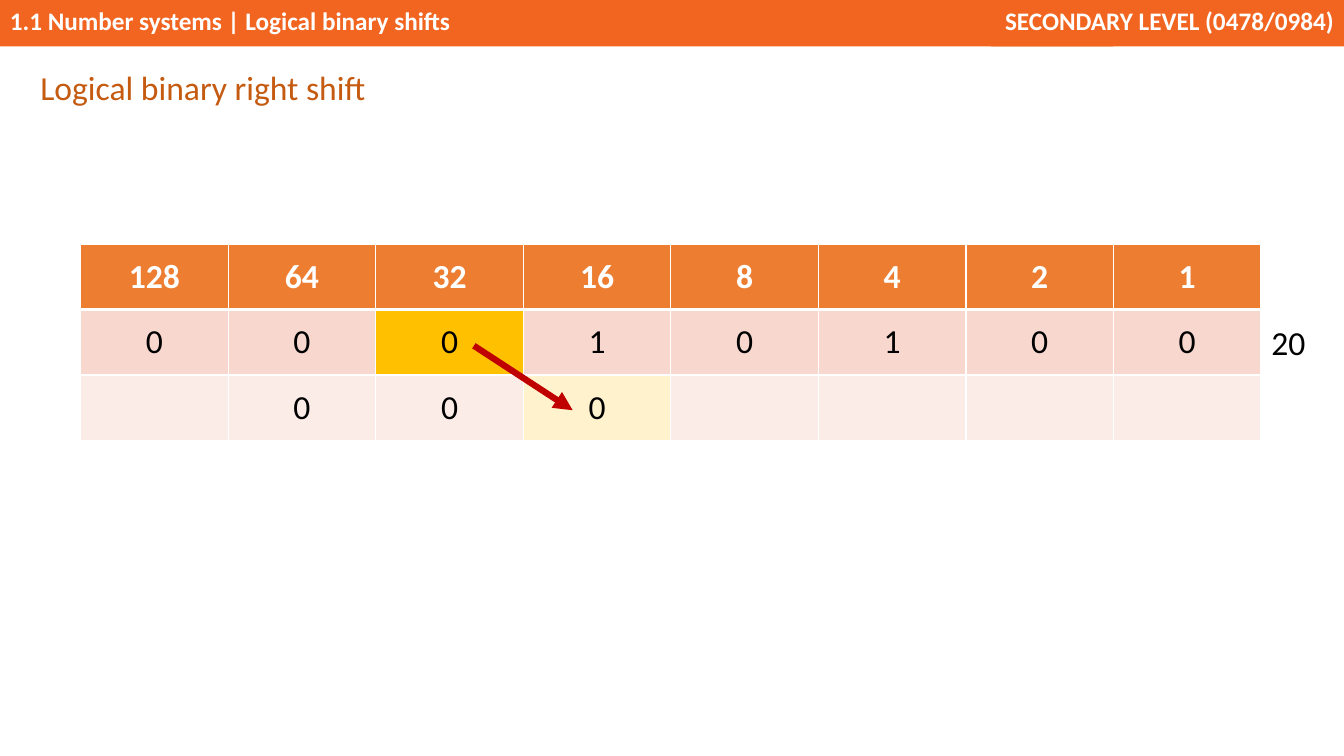
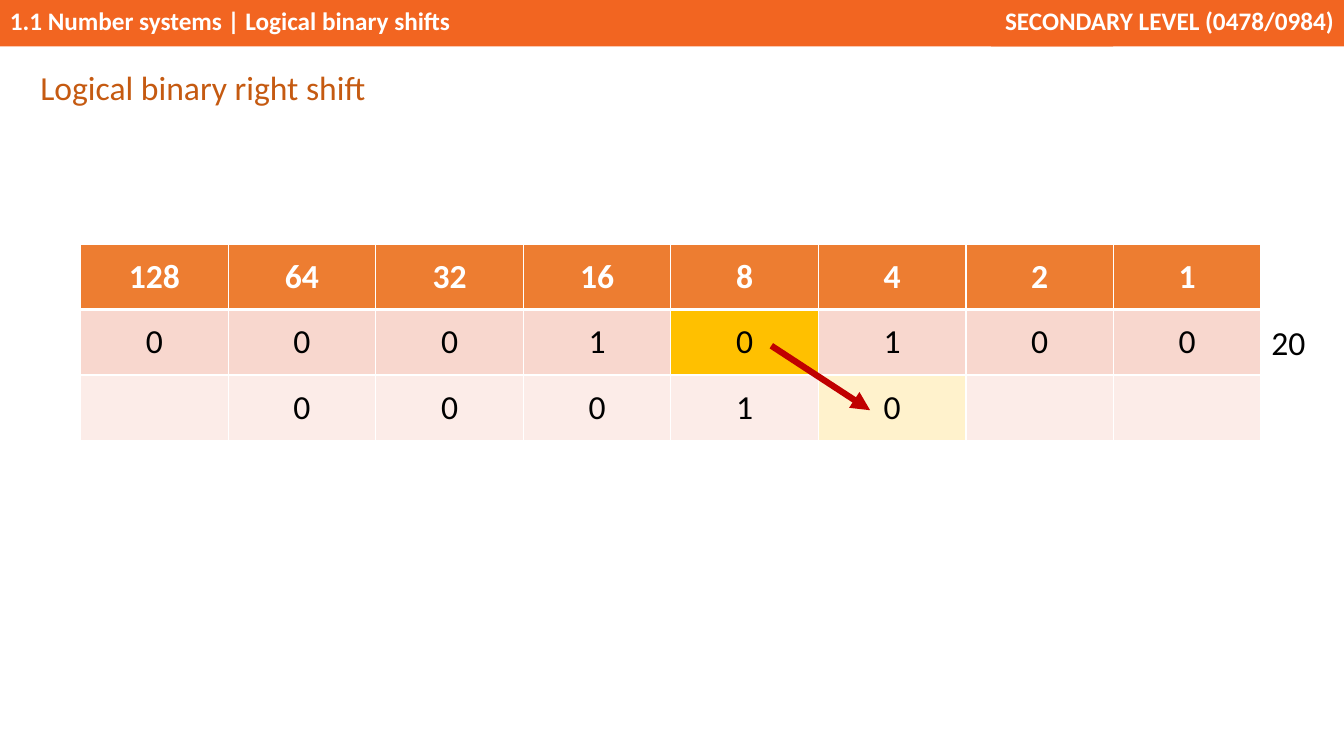
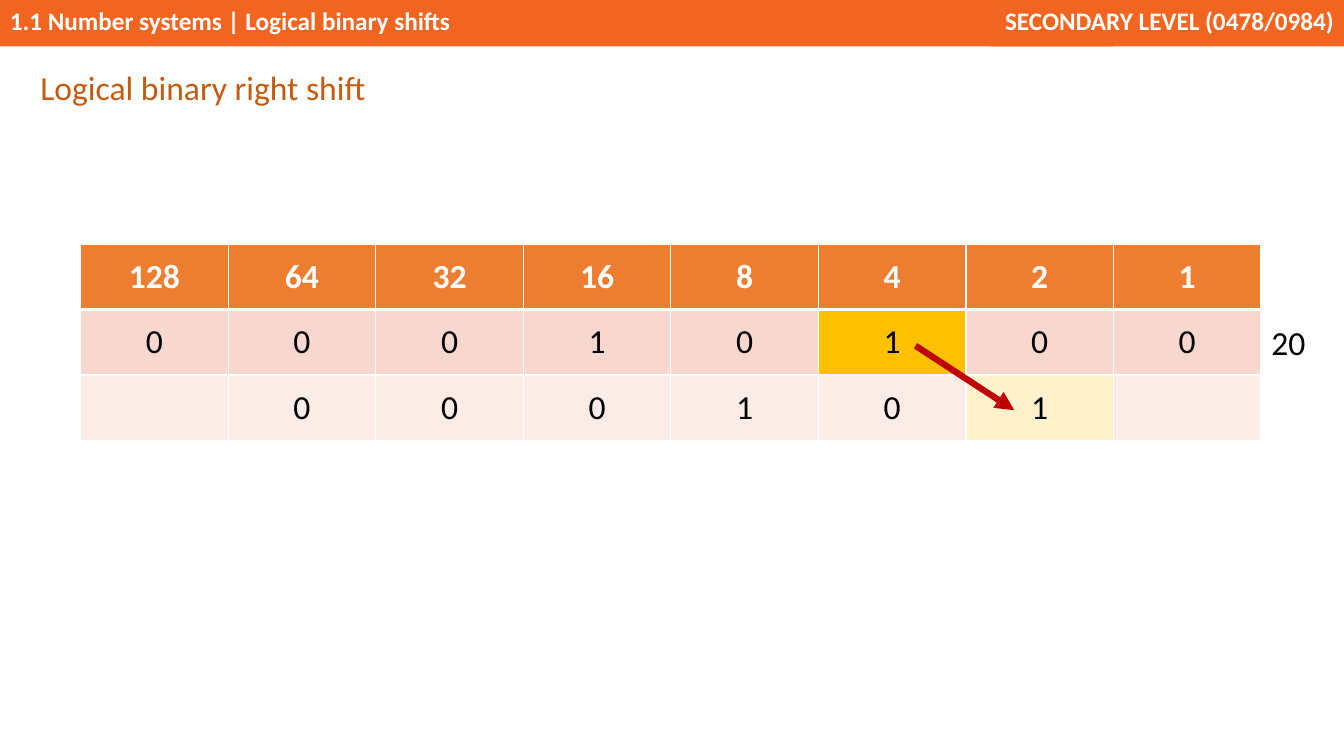
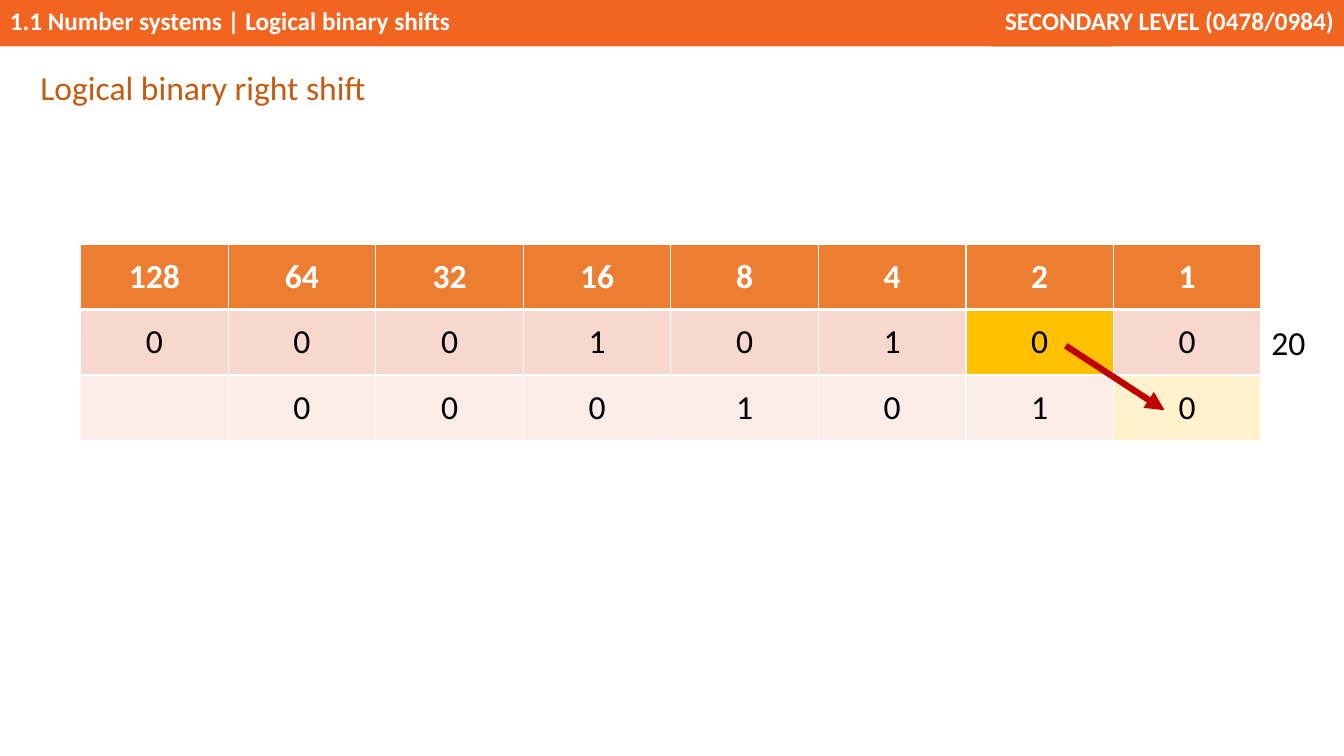
import pptx
import pptx.dml.color
import pptx.enum.shapes
import pptx.enum.text
import pptx.oxml.ns
import pptx.util
from lxml import etree

PX = 9144  # EMU in one px, 100 px to the inch
FONT = "Calibri"
COLORS = {
    "band": "F26521", "title": "C55A11", "white": "FFFFFF", "black": "000000",
    "header": "ED7D31", "before": "F8D7CE", "after": "FCECE8",
    "source": "FFC000", "target": "FFF2CC", "arrow": "C00000",
}
ALIGN = pptx.enum.text.PP_ALIGN
ANCHOR = pptx.enum.text.MSO_ANCHOR

TITLE = "Logical binary right shift"
BANDS = [
    ("1.1 Number systems | Logical binary shifts", 0, 1104, ALIGN.LEFT),
    ("SECONDARY LEVEL (0478/0984)", 983, 350, ALIGN.RIGHT),
]
BAND_HEIGHT = 46
BITS = [0, 0, 0, 1, 0, 1, 0, 0]
PLACE_VALUES = [2 ** power for power in reversed(range(len(BITS)))]
DECIMAL = sum(value * bit for value, bit in zip(PLACE_VALUES, BITS))

# Column of the bit being moved, and where its arrow starts
STEPS = [(2, 470), (4, 765), (5, 908), (6, 1057)]
ARROW_TOP, ARROW_WIDTH, ARROW_HEIGHT = 343, 98, 64
GRID_LEFT, GRID_TOP, GRID_WIDTH, ROW_HEIGHT = 80, 242, 1171, 65


def rgb(color):
    return pptx.dml.color.RGBColor.from_string(COLORS[color])


def box(*lengths):
    return [length * PX for length in lengths]


def write(paragraph, text, color, size=24, bold=False, align=ALIGN.CENTER):
    paragraph.alignment = align
    run = paragraph.add_run()
    run.text = str(text)
    run.font.name = FONT
    run.font.size = pptx.util.Pt(size)
    run.font.bold = bold
    run.font.color.rgb = rgb(color)


def add_bands(slide):
    for text, left, width, align in BANDS:
        band = slide.shapes.add_shape(
            pptx.enum.shapes.MSO_SHAPE.RECTANGLE, *box(left, 0, width, BAND_HEIGHT))
        band.shadow.inherit = False
        band.fill.solid()
        band.fill.fore_color.rgb = rgb("band")
        band.line.fill.background()
        band.text_frame.vertical_anchor = ANCHOR.TOP
        write(band.text_frame.paragraphs[0], text, "white", 18, True, align)


def add_title(slide):
    title = slide.shapes.title
    title.left, title.top, title.width, title.height = box(30, 59, 742, 51)
    frame = title.text_frame
    frame.auto_size = pptx.enum.text.MSO_AUTO_SIZE.NONE
    frame.vertical_anchor = ANCHOR.TOP
    paragraph = frame.paragraphs[0]
    paragraph.line_spacing = 1.07
    paragraph.space_after = pptx.util.Pt(8)
    write(paragraph, TITLE, "title", align=ALIGN.LEFT)


def add_border(cell, side, points):
    line = etree.SubElement(cell._tc.get_or_add_tcPr(),
                            pptx.oxml.ns.qn(f"a:ln{side}"), w=str(pptx.util.Pt(points)))
    fill = etree.SubElement(line, pptx.oxml.ns.qn("a:solidFill"))
    etree.SubElement(fill, pptx.oxml.ns.qn("a:srgbClr"), val=COLORS["white"])


def format_cell(cell, text, fill, is_header, below_header):
    for side in "LRTB":
        heavy = (is_header and side == "B") or (below_header and side == "T")
        add_border(cell, side, 3 if heavy else 1)
    cell.fill.solid()
    cell.fill.fore_color.rgb = rgb(fill)
    cell.vertical_anchor = ANCHOR.MIDDLE
    if text != "":
        write(cell.text_frame.paragraphs[0], text,
              "white" if is_header else "black", bold=is_header)


def add_grid(slide, source):
    shifted = [""] + BITS[:source + 1]
    shifted += [""] * (len(BITS) - len(shifted))
    rows = [(PLACE_VALUES, "header"), (BITS, "before"), (shifted, "after")]
    highlights = {(1, source): "source", (2, source + 1): "target"}
    table = slide.shapes.add_table(
        len(rows), len(BITS),
        *box(GRID_LEFT, GRID_TOP, GRID_WIDTH, ROW_HEIGHT * len(rows))).table
    table.first_row = table.horz_banding = False
    for r, (values, fill) in enumerate(rows):
        for c, value in enumerate(values):
            format_cell(table.cell(r, c), value, highlights.get((r, c), fill),
                        r == 0, r == 1)


def add_arrow(slide, left):
    arrow = slide.shapes.add_connector(
        pptx.enum.shapes.MSO_CONNECTOR.STRAIGHT,
        *box(left, ARROW_TOP, left + ARROW_WIDTH, ARROW_TOP + ARROW_HEIGHT))
    arrow.line.color.rgb = rgb("arrow")
    arrow.line.width = pptx.util.Pt(4.5)
    etree.SubElement(arrow.line._get_or_add_ln(),
                     pptx.oxml.ns.qn("a:tailEnd"), type="triangle")
    etree.SubElement(arrow._element.spPr, pptx.oxml.ns.qn("a:effectLst"))


def add_decimal(slide):
    frame = slide.shapes.add_textbox(*box(1251, 314, 54, 50)).text_frame
    frame.word_wrap = False
    write(frame.paragraphs[0], DECIMAL, "black")


def main():
    deck = pptx.Presentation()
    deck.slide_width, deck.slide_height = box(1333, 750)
    for source, arrow_left in STEPS:
        slide = deck.slides.add_slide(deck.slide_layouts[5])
        add_bands(slide)
        add_title(slide)
        add_grid(slide, source)
        add_arrow(slide, arrow_left)
        add_decimal(slide)
    deck.save("out.pptx")


if __name__ == "__main__":
    main()
